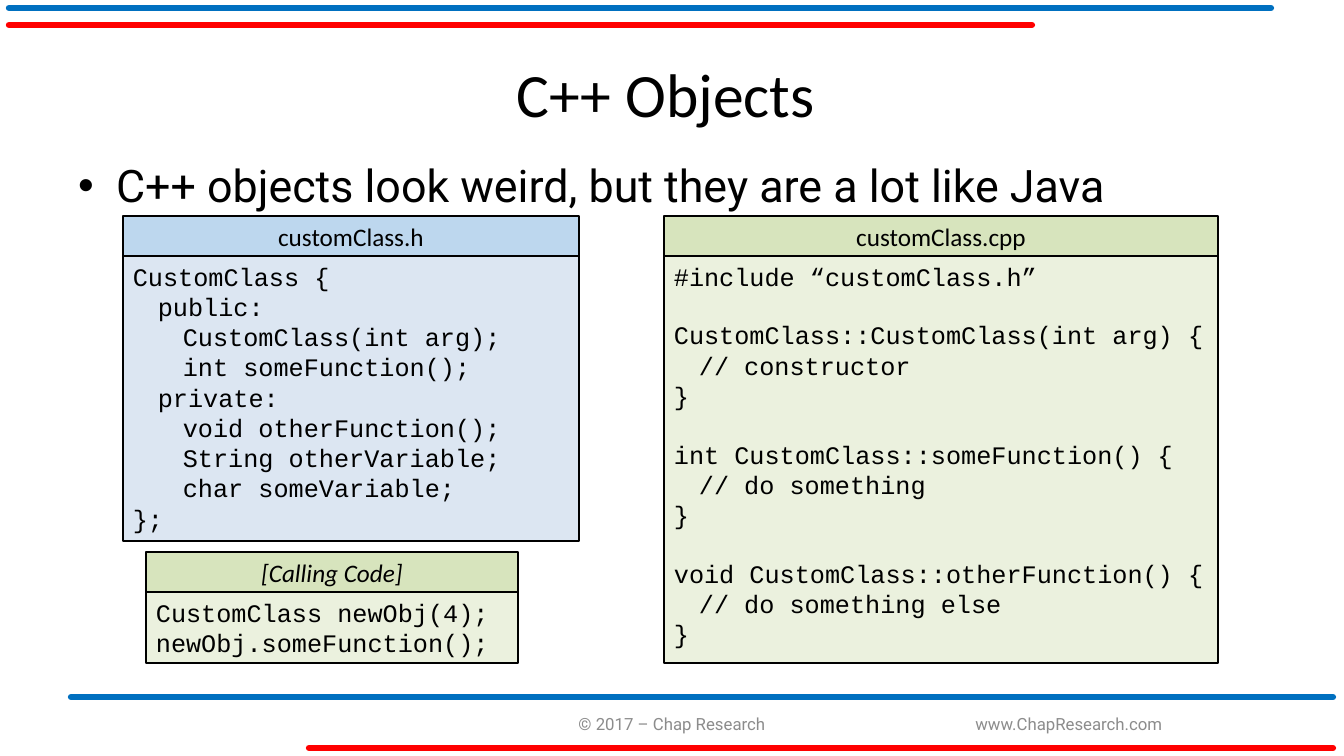
import pptx
import pptx.util
import pptx.dml.color
import pptx.enum.shapes
import pptx.enum.text
import pptx.oxml.ns
import lxml.etree

PX = 914400 / 100.8
COLORS = {
    "black": "000000", "grey": "8C8C8C", "blue": "0070C0", "red": "FF0000",
    "header blue": "BDD7EE", "code blue": "DCE6F2",
    "header green": "D7E4BD", "code green": "EBF1DE",
}
ALIGN = pptx.enum.text.PP_ALIGN
ANCHOR = pptx.enum.text.MSO_ANCHOR
AUTO = pptx.enum.text.MSO_AUTO_SIZE
qn = pptx.oxml.ns.qn


def px(*values):
    return [pptx.util.Emu(round(v * PX)) for v in values]


def add_run(p, text, font, size, color="black", italic=None):
    r = p.add_run()
    r.text = text
    r.font.name = font
    r.font.size = pptx.util.Pt(size)
    r.font.italic = italic
    r.font.color.rgb = pptx.dml.color.RGBColor.from_string(COLORS[color])


prs = pptx.Presentation()
prs.slide_width, prs.slide_height = px(1344, 756)
s = prs.slides.add_slide(prs.slide_layouts[1])

# Coloured rules at the top and bottom
for x1, x2, y, color in [
    (309, 1333, 748, "red"), (71, 1333, 697, "blue"),
    (9, 1271, 8, "blue"), (9, 1032, 25, "red"),
]:
    line = s.shapes.add_connector(
        pptx.enum.shapes.MSO_CONNECTOR.STRAIGHT, *px(x1, y, x2, y))
    line.line.color.rgb = pptx.dml.color.RGBColor.from_string(COLORS[color])
    line.line.width = pptx.util.Pt(4.5)
    line.line._get_or_add_ln().set("cap", "rnd")
    lxml.etree.SubElement(line._element.spPr, qn("a:effectLst"))

# Footer
for x, text in [(929, "www.ChapResearch.com"), (532, "© 2017 – Chap Research")]:
    sp = s.shapes.add_textbox(*px(x, 704, 280, 40))
    tf = sp.text_frame
    tf.word_wrap = True
    tf.vertical_anchor = ANCHOR.MIDDLE
    p = tf.paragraphs[0]
    p.alignment = ALIGN.CENTER
    add_run(p, text, "Roboto", 12, "grey")

# Title
title = s.shapes.title
title.left, title.top, title.width, title.height = px(22, 30, 1288, 126)
tf = title.text_frame
tf.auto_size = AUTO.NONE
tf.vertical_anchor = ANCHOR.MIDDLE
p = tf.paragraphs[0]
p.alignment = ALIGN.CENTER
add_run(p, "C++ Objects", "Calibri", 44)

# Bullet
body = s.placeholders[1]
body.left, body.top, body.width, body.height = px(68, 153, 1210, 70)
tf = body.text_frame
tf.auto_size = AUTO.NONE
tf.vertical_anchor = ANCHOR.TOP
p = tf.paragraphs[0]
p.space_before = pptx.util.Pt(0)
pPr = p._p.get_or_add_pPr()
indent = px(38)[0]
pPr.set("marL", str(indent))
pPr.set("indent", str(-indent))
lxml.etree.SubElement(pPr, qn("a:buFont"), typeface="Arial")
lxml.etree.SubElement(pPr, qn("a:buChar"), char="•")
add_run(p, "C++ objects look weird, but they are a lot like Java", "Roboto", 32)

# Code panels: name, tint, italic name, left, top, width, code height, code blocks
HEADER_H = 40
CODE_LINE = 20.4
panels = [
    ("customClass.h", "blue", None, 123, 216, 456, 285, [[
        "CustomClass {",
        "\tpublic:",
        "\t\tCustomClass(int arg);",
        "\t\tint someFunction();",
        "\tprivate:",
        "\t\tvoid otherFunction();",
        "\t\tString otherVariable;",
        "\t\tchar someVariable;",
        "};",
    ]]),
    ("customClass.cpp", "green", None, 664, 216, 554, 407, [
        ["#include “customClass.h”"],
        ["CustomClass::CustomClass(int arg) {", "\t// constructor", "}"],
        ["int CustomClass::someFunction() {", "\t// do something", "}"],
        ["void CustomClass::otherFunction() {", "\t// do something else", "}"],
    ]),
    ("[Calling Code]", "green", True, 146, 552, 372, 71, [
        ["CustomClass newObj(4);", "newObj.someFunction();"],
    ]),
]
for name, tint, italic, x, y, w, h, blocks in panels:
    grp = s.shapes.add_group_shape()
    frames = []
    for part, top, height in [("code", y + HEADER_H, h), ("header", y, HEADER_H)]:
        sp = grp.shapes.add_shape(
            pptx.enum.shapes.MSO_SHAPE.RECTANGLE, *px(x, top, w, height))
        sp.shadow.inherit = False
        sp.fill.solid()
        sp.fill.fore_color.rgb = pptx.dml.color.RGBColor.from_string(
            COLORS[f"{part} {tint}"])
        sp.line.color.rgb = pptx.dml.color.RGBColor.from_string(COLORS["black"])
        sp.line.width = pptx.util.Pt(1)
        tf = sp.text_frame
        tf.word_wrap = True
        tf.auto_size = AUTO.SHAPE_TO_FIT_TEXT
        tf.vertical_anchor = ANCHOR.TOP
        frames.append(tf)
    code, header = frames

    p = header.paragraphs[0]
    p.alignment = ALIGN.CENTER
    add_run(p, name, "Calibri", 18, italic=italic)

    for b, block in enumerate(blocks):
        for i, text in enumerate(block):
            first = b == 0 and i == 0
            p = code.paragraphs[0] if first else code.add_paragraph()
            p.alignment = ALIGN.LEFT
            if b > 0 and i == 0:
                p.space_before = pptx.util.Pt(CODE_LINE)
            tabs = lxml.etree.SubElement(p._p.get_or_add_pPr(), qn("a:tabLst"))
            for stop in px(25, 50):
                lxml.etree.SubElement(tabs, qn("a:tab"), pos=str(stop), algn="l")
            add_run(p, text, "Courier New", 18)

prs.save("out.pptx")
